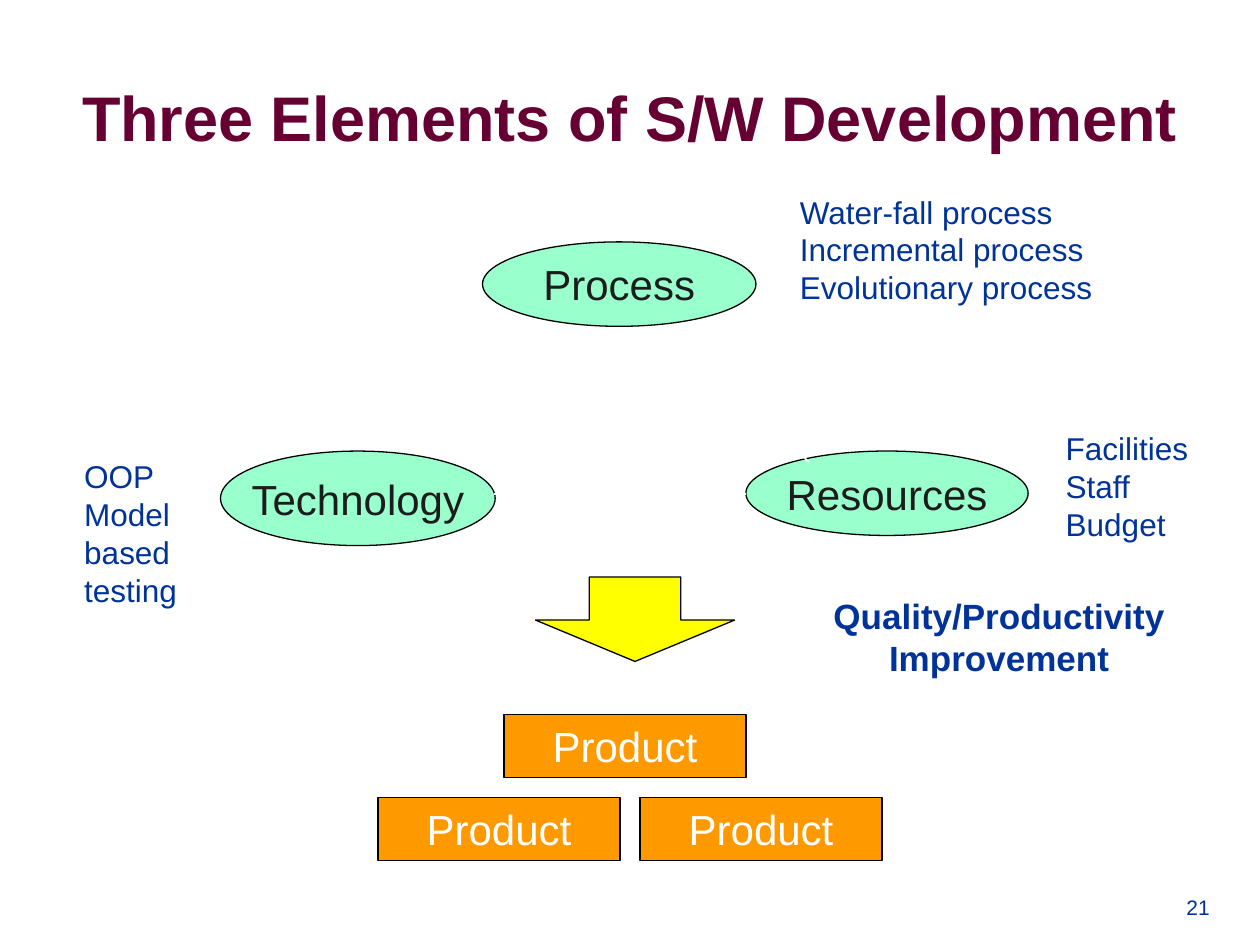
from lxml import etree
from pptx import Presentation
from pptx.dml.color import RGBColor
from pptx.enum.shapes import MSO_CONNECTOR, MSO_SHAPE
from pptx.enum.text import MSO_ANCHOR, PP_ALIGN
from pptx.oxml.ns import qn
from pptx.util import Inches, Pt

MAROON = RGBColor(0x66, 0x00, 0x33)
NAVY = RGBColor(0x00, 0x33, 0x99)
MINT = RGBColor(0x99, 0xFF, 0xCC)
CHARCOAL = RGBColor(0x1C, 0x1C, 0x1C)
YELLOW = RGBColor(0xFF, 0xFF, 0x00)
ORANGE = RGBColor(0xFF, 0x99, 0x00)
BLACK = RGBColor(0x00, 0x00, 0x00)
WHITE = RGBColor(0xFF, 0xFF, 0xFF)
OVAL, RECTANGLE, DOWN_ARROW = MSO_SHAPE.OVAL, MSO_SHAPE.RECTANGLE, MSO_SHAPE.DOWN_ARROW
TOP, MIDDLE, BOTTOM = MSO_ANCHOR.TOP, MSO_ANCHOR.MIDDLE, MSO_ANCHOR.BOTTOM
LEFT, CENTER, RIGHT = PP_ALIGN.LEFT, PP_ALIGN.CENTER, PP_ALIGN.RIGHT
STRAIGHT = MSO_CONNECTOR.STRAIGHT

deck = Presentation()
deck.slide_width, deck.slide_height = Inches(10), Inches(7.5)
page = deck.slides.add_slide(deck.slide_layouts[6])


def write(shape, text, size, color, align=LEFT, anchor=TOP, bold=False, wrap=True):
    frame = shape.text_frame
    frame.text = text
    frame.word_wrap = wrap
    frame.vertical_anchor = anchor
    for para in frame.paragraphs:
        para.alignment = align
        for span in para.runs:
            span.font.name = "Arial"
            span.font.size = Pt(size)
            span.font.bold = bold
            span.font.color.rgb = color


def add_figure(kind, left, top, width, height, fill):
    shape = page.shapes.add_shape(kind, Inches(left), Inches(top), Inches(width), Inches(height))
    shape.shadow.inherit = False
    shape.fill.solid()
    shape.fill.fore_color.rgb = fill
    shape.line.color.rgb = BLACK
    shape.line.width = Pt(0.75)
    return shape


title = page.shapes.add_textbox(Inches(0.5), Inches(0.3), Inches(9), Inches(1.25))
write(title, "Three Elements of S/W Development", 36, MAROON, CENTER, MIDDLE, bold=True)

page_number = page.shapes.add_textbox(Inches(9.01), Inches(6.83), Inches(0.69), Inches(0.52))
write(page_number, "21", 12, NAVY, RIGHT, BOTTOM)

for name, left, top, width, height in (
    ("Technology", 1.75, 3.58, 2.18, 0.75),
    ("Resources", 5.92, 3.58, 2.24, 0.67),
    ("Process", 3.83, 1.92, 2.17, 0.67),
):
    element = add_figure(OVAL, left, top, width, height, MINT)
    write(element, name, 24, CHARCOAL, CENTER, MIDDLE, wrap=False)

for ends in (
    (3.92, 3.92, 5.92, 3.92),
    (4.42, 2.58, 3.76, 3.58),
    (5.42, 2.58, 6.42, 3.67),
):
    link = page.shapes.add_connector(STRAIGHT, *map(Inches, ends))
    link.line.color.rgb = WHITE
    link.line.width = Pt(1)
    etree.SubElement(link._element.spPr, qn("a:effectLst"))

goal = page.shapes.add_textbox(Inches(6.48), Inches(4.67), Inches(2.9), Inches(0.77))
write(goal, "Quality/Productivity \nImprovement", 20, NAVY, CENTER, bold=True, wrap=False)

arrow = add_figure(DOWN_ARROW, 4.25, 4.58, 1.58, 0.67, YELLOW)
arrow.adjustments[0] = 0.46
arrow.adjustments[1] = 0.49

for left, top in ((3, 6.33), (5.08, 6.33), (4, 5.67)):
    product = add_figure(RECTANGLE, left, top, 1.92, 0.5, ORANGE)
    write(product, "Product", 24, WHITE, CENTER)

for text, left, top, width, height in (
    ("Facilities\nStaff\nBudget", 8.36, 3.36, 1.18, 1.3),
    ("Water-fall process\nIncremental process\nEvolutionary process", 6.25, 1.48, 2.76, 1.6),
    ("OOP\nModel based testing", 0.57, 3.58, 1.18, 1.6),
):
    examples = page.shapes.add_textbox(Inches(left), Inches(top), Inches(width), Inches(height))
    write(examples, text, 18, NAVY)

deck.save("out.pptx")
